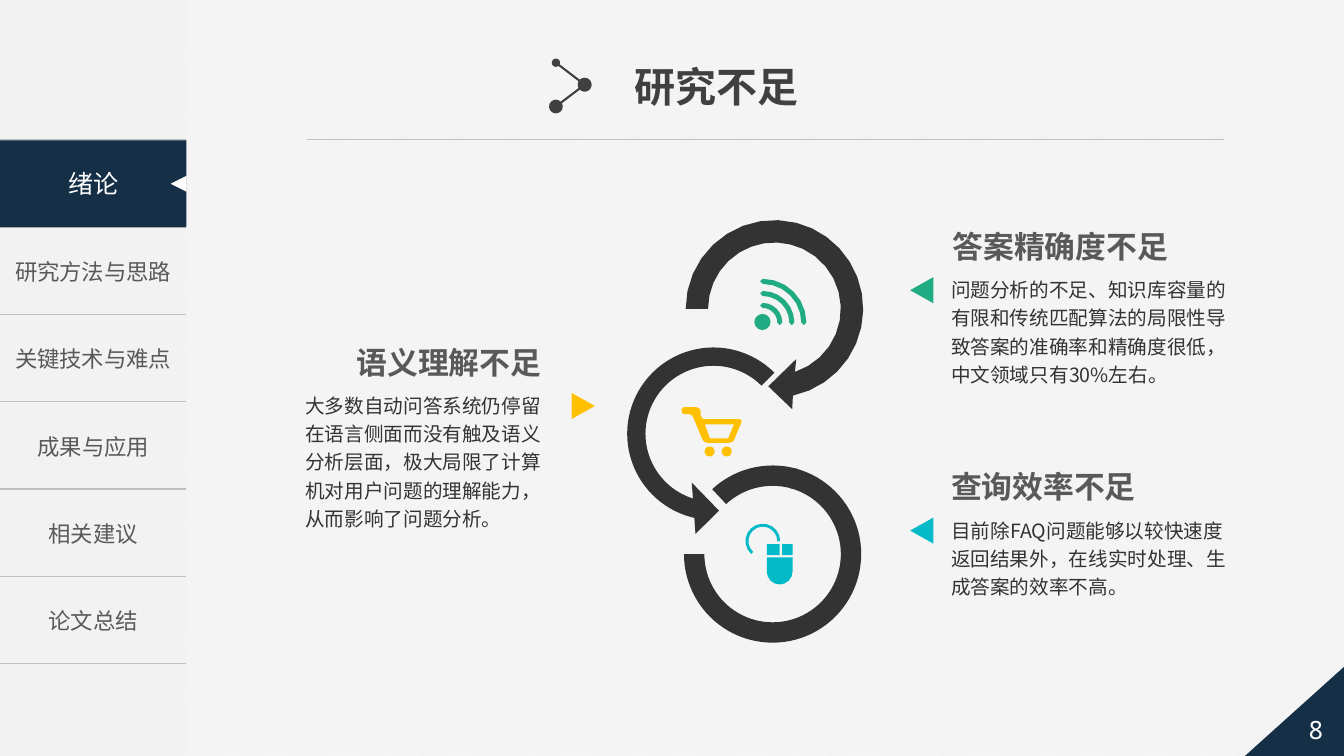
"""Build the slide on research shortcomings."""
from dataclasses import dataclass
from math import cos, radians, sin

from lxml.etree import SubElement
from pptx import Presentation
from pptx.dml.color import RGBColor
from pptx.enum.dml import MSO_PATTERN
from pptx.enum.shapes import MSO_CONNECTOR, MSO_SHAPE as SHAPE
from pptx.enum.text import MSO_ANCHOR as ANCHOR, MSO_AUTO_SIZE, PP_ALIGN as ALIGN
from pptx.oxml import parse_xml
from pptx.oxml.ns import nsdecls, qn
from pptx.util import Pt


@dataclass(frozen=True)
class Theme:
    navy: str = "152F47"
    pale: str = "F2F2F2"
    white: str = "FFFFFF"
    rule: str = "BFBFBF"
    title: str = "404040"
    heading: str = "595959"
    body: str = "333333"
    green: str = "21AB82"
    teal: str = "05BAC8"
    amber: str = "FFC000"
    title_size: float = 29.3
    heading_size: float = 22
    active_size: float = 18
    menu_size: float = 16
    body_size: float = 14
    cjk: str = "Noto Sans CJK SC"
    latin: str = "Arial"
    mono: str = "Noto Sans Mono"


def rgb(value):
    return RGBColor.from_string(value)


def write(tf, text, size, color, font=Theme.cjk, bold=False, align=ALIGN.LEFT,
          anchor=ANCHOR.TOP, wrap=True, spacing=None):
    tf.word_wrap = wrap
    tf.vertical_anchor = anchor
    p = tf.paragraphs[0]
    p.alignment = align
    p.line_spacing = spacing
    r = p.add_run()
    r.text = text
    r.font.size, r.font.bold, r.font.name = Pt(size), bold, font
    r.font.color.rgb = rgb(color)
    SubElement(r.font._element, qn("a:ea")).set("typeface", Theme.cjk)


def arc(cx, cy, radius, start, end, steps):
    angles = (radians(start + (end - start) * i / steps) for i in range(steps + 1))
    return [(cx + radius * cos(a), cy + radius * sin(a)) for a in angles]


def band(cx, cy, outer, inner, start, end, steps):
    return arc(cx, cy, outer, start, end, steps) + arc(cx, cy, inner, end, start, steps)


def box(left, top, right, bottom):
    return [(left, top), (right, top), (right, bottom), (left, bottom)]


class SlideBuilder:
    def __init__(self, prs, theme):
        self.t = theme
        self.slide = prs.slides.add_slide(prs.slide_layouts[5])
        self.shapes = self.slide.shapes
        fill = self.slide.background.fill
        fill.patterned()
        fill.pattern = MSO_PATTERN.LIGHT_UPWARD_DIAGONAL
        fill.fore_color.rgb, fill.back_color.rgb = rgb(theme.white), rgb(theme.pale)

    def paint(self, sp, color):
        sp.shadow.inherit = False
        sp.fill.solid()
        sp.fill.fore_color.rgb = rgb(color)
        sp.line.fill.background()
        return sp

    def shape(self, kind, x, y, w, h, color, rotation=0, adjust=()):
        sp = self.shapes.add_shape(kind, Pt(x), Pt(y), Pt(w), Pt(h))
        sp.rotation = rotation
        for i, value in enumerate(adjust):
            sp.adjustments[i] = value
        return self.paint(sp, color)

    def outline(self, color, *contours):
        paths = [[(Pt(x), Pt(y)) for x, y in c] for c in contours]
        fb = self.shapes.build_freeform(*paths[0][0], scale=1.0)
        fb.add_line_segments(paths[0][1:], close=True)
        for path in paths[1:]:
            fb.move_to(*path[0])
            fb.add_line_segments(path[1:], close=True)
        return self.paint(fb.convert_to_shape(), color)

    def text(self, text, x, y, w, h, size, color, **fmt):
        sp = self.shapes.add_textbox(Pt(x), Pt(y), Pt(w), Pt(h))
        write(sp.text_frame, text, size, color, **fmt)

    def title(self, text, x, y, w, h):
        sp = self.shapes.title
        sp.left, sp.top, sp.width, sp.height = Pt(x), Pt(y), Pt(w), Pt(h)
        sp.text_frame.auto_size = MSO_AUTO_SIZE.NONE
        write(sp.text_frame, text, self.t.title_size, self.t.title,
              font=self.t.latin, bold=True, wrap=False)

    def line(self, start, end, color, width, ends=()):
        cx = self.shapes.add_connector(MSO_CONNECTOR.STRAIGHT, *map(Pt, start + end))
        cx.line.color.rgb = rgb(color)
        cx.line.width = Pt(width)
        ln = cx.line._get_or_add_ln()
        for tag, size in zip(("a:headEnd", "a:tailEnd"), ends):
            dot = SubElement(ln, qn(tag))
            for key, value in (("type", "oval"), ("w", size), ("len", size)):
                dot.set(key, value)
        SubElement(cx._element.spPr, qn("a:effectLst"))

    def menu(self, labels, x, y, w, row_h):
        frame = self.shapes.add_table(len(labels), 1, Pt(x), Pt(y), Pt(w),
                                      Pt(row_h * len(labels)))
        table = frame.table
        table.first_row = table.horz_banding = False
        for row, label in zip(table.rows, labels):
            row.height = Pt(row_h)
            cell = row.cells[0]
            cell.vertical_anchor = ANCHOR.MIDDLE
            cell.fill.background()
            if label:
                write(cell.text_frame, label, self.t.menu_size, self.t.heading,
                      align=ALIGN.CENTER, anchor=ANCHOR.MIDDLE)
            self.borders(cell)

    def borders(self, cell):
        solid = f'<a:solidFill><a:srgbClr val="{self.t.rule}"/></a:solidFill>'
        tc_pr = cell._tc.get_or_add_tcPr()
        for i, side in enumerate("LRTB"):
            fill = solid if side in "TB" else "<a:noFill/>"
            tc_pr.insert(i, parse_xml(
                f'<a:ln{side} {nsdecls("a")} w="12700">{fill}</a:ln{side}>'))

    def finding(self, heading, body, head_x, head_w, x, y, w, h, marker_x, color,
                rotation=270, align=ALIGN.LEFT):
        t = self.t
        self.text(heading, head_x, y - 32.8, head_w, 33.8, t.heading_size, t.heading,
                  bold=True, align=align, wrap=False)
        self.shape(SHAPE.ISOSCELES_TRIANGLE, marker_x, y + 7.2, 18.7, 16.6, color, rotation)
        self.text(body, x, y, w, h, t.body_size, t.body, spacing=1.2)

    def signal_icon(self, cx, cy):
        for outer in (14, 22.6, 31.2):
            inner, mid = outer - 3.6, outer - 1.8
            self.outline(self.t.green, arc(cx, cy, outer, 270, 360, 6)
                         + arc(cx + mid, cy, 1.8, 0, 180, 2)
                         + arc(cx, cy, inner, 360, 270, 6)
                         + arc(cx, cy - mid, 1.8, 90, 270, 2))
        self.shape(SHAPE.OVAL, cx - 6, cy - 6.2, 11.6, 11.6, self.t.green)

    def cart_icon(self, x, y):
        body = [(0, 1.6), (1.6, 0), (10.8, 0), (13, 1), (13.8, 3), (13.8, 6), (14.8, 8),
                (16.6, 8.6), (41.8, 8.6), (43, 9.4), (42.8, 11), (37.6, 23.4),
                (36.4, 24.8), (34, 25.4), (18.6, 25.4), (16.4, 24.8), (15.2, 23.4),
                (8.7, 7.8), (7.6, 5.8), (5.8, 5), (2, 5), (0.6, 4.2)]
        basket = [(33.4, 22.3), (20.4, 22.3), (16.8, 12.2), (37.6, 12.2)]
        self.outline(self.t.amber, *([(x + a, y + b) for a, b in c] for c in (body, basket)))
        for dx in (16.6, 28.8):
            self.shape(SHAPE.OVAL, x + dx, y + 28, 7.2, 7.2, self.t.amber)

    def mouse_icon(self, x, y):
        base = [(x, y + 9.4), (x + 18.4, y + 9.4)] + arc(x + 9.2, y + 19.6, 9.2, 0, 180, 8)
        self.outline(self.t.teal, box(x, y, x + 9.2, y + 7.9),
                     box(x + 11, y, x + 18.4, y + 7.9), base)
        self.outline(self.t.teal, band(x - 2.8, y - 2.2, 12.4, 10.3, 132, 360, 12))

    def rings(self):
        dark, cx, cy = self.t.body, 553.2, 220.6
        self.shape(SHAPE.LEFT_CIRCULAR_ARROW, 436.2, 236.4, 146.9, 146.9, dark,
                   adjust=(0.089, 11.423, 62.936, 189, 0.125))
        for start, end in ((136.24, 172.28), (170.85, 108)):
            self.shape(SHAPE.BLOCK_ARC, 488.6, 332.5, 126.6, 126.6, dark,
                       adjust=(start, end, 0.115))
        head = [(565.9, 292.3), (548.8, 276), (568.8, 256.5)]
        self.outline(dark, arc(cx, cy, 63.4, -76, 78, 14) + head
                     + arc(cx, cy, 47.4, 72, -77, 12))
        self.outline(dark, band(cx, cy, 63.4, 47.4, 180, 284, 9))


def main():
    prs = Presentation()
    prs.slide_width, prs.slide_height = Pt(960), Pt(540)
    t = Theme()
    s = SlideBuilder(prs, t)

    s.shape(SHAPE.RECTANGLE, 0, 0, 133.2, 540, t.pale)
    s.menu(["", "研究方法与思路", "关键技术与难点", "成果与应用", "相关建议", "论文总结"],
           0, 100, 133.2, 62.33)
    active = s.shape(SHAPE.RECTANGLE, 0, 100.3, 133.2, 62, t.navy)
    write(active.text_frame, "绪论", t.active_size, t.white,
          align=ALIGN.CENTER, anchor=ANCHOR.MIDDLE)
    s.shape(SHAPE.ISOSCELES_TRIANGLE, 121.9, 125.5, 11.5, 11.5, t.white, 270)

    s.title("研究不足", 446.1, 40.3, 133.2, 42.5)
    s.line((219.6, 99.8), (874.1, 99.8), t.rule, 0.5)
    s.line((397.1, 44.8), (417.6, 60.5), t.title, 1.5, ("med", "lg"))
    s.line((417.6, 60.5), (397.1, 76.1), t.title, 1.5, ("lg", "lg"))

    corner = s.shape(SHAPE.RIGHT_TRIANGLE, 889.3, 476.4, 70.7, 63.6, t.navy)
    corner._element.spPr.find(qn("a:xfrm")).set("flipH", "1")
    s.text("8", 920, 502, 40, 38, t.active_size, t.white, font=t.mono,
           align=ALIGN.CENTER, anchor=ANCHOR.MIDDLE)

    s.finding("答案精确度不足",
              "问题分析的不足、知识库容量的有限和传统匹配算法的局限性导致答案的准确率和精确度很低，中文领域只有30%左右。",
              673.4, 169.9, 672.3, 191.8, 222.5, 88.6, 649.1, t.green)
    s.finding("查询效率不足",
              "目前除FAQ问题能够以较快速度返回结果外，在线实时处理、生成答案的效率不高。",
              672.3, 147.6, 672.3, 363.5, 222.5, 68.4, 649.1, t.teal)
    s.finding("语义理解不足",
              "大多数自动问答系统仍停留在语言侧面而没有触及语义分析层面，极大局限了计算机对用户问题的理解能力，从而影响了问题分析。",
              246, 147.6, 211, 274.5, 192.2, 108.7, 407.2, t.amber, 90, ALIGN.RIGHT)

    s.rings()
    s.signal_icon(544.8, 230.4)
    s.cart_icon(486.7, 290.9)
    s.mouse_icon(547.7, 388.7)
    prs.save("out.pptx")


if __name__ == "__main__":
    main()
